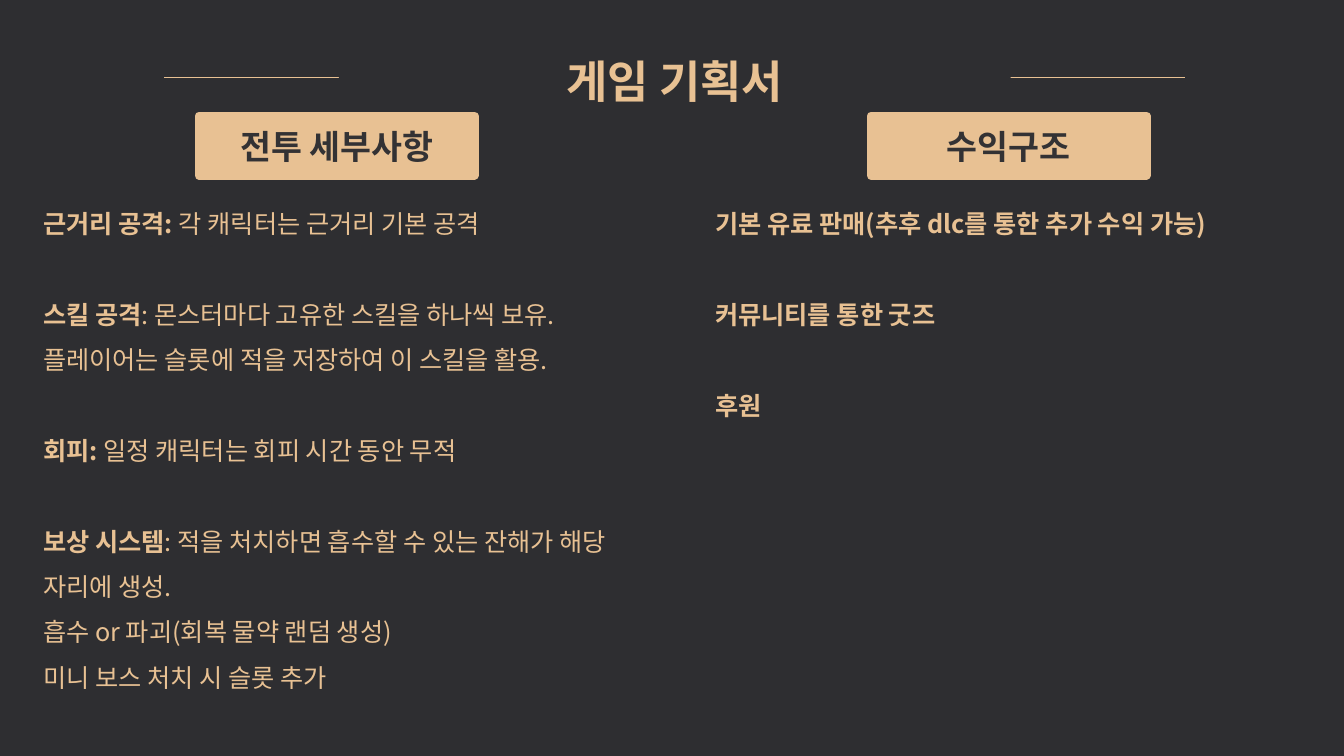
from lxml import etree
from pptx import Presentation
from pptx.dml.color import RGBColor
from pptx.enum.shapes import MSO_CONNECTOR, MSO_SHAPE
from pptx.enum.text import MSO_ANCHOR, MSO_AUTO_SIZE, PP_ALIGN
from pptx.oxml.ns import qn
from pptx.util import Inches, Pt

STRAIGHT = MSO_CONNECTOR.STRAIGHT
RECTANGLE = MSO_SHAPE.RECTANGLE
TOP, MIDDLE = MSO_ANCHOR.TOP, MSO_ANCHOR.MIDDLE
CENTER = PP_ALIGN.CENTER
GROW = MSO_AUTO_SIZE.SHAPE_TO_FIT_TEXT

DARK = RGBColor(0x2E, 0x2E, 0x31)
LABEL_INK = RGBColor(0x33, 0x32, 0x34)
SAND = RGBColor(0xE8, 0xC1, 0x93)
FONT = "Noto Sans CJK KR"

# Two equal columns
SLIDE_WIDTH, SLIDE_HEIGHT = 13.33, 7.5
COLUMN_STEP = SLIDE_WIDTH / 2
COLUMN_LEFT, COLUMN_WIDTH = 0.33, 6.02
LABEL_TOP, LABEL_WIDTH, LABEL_HEIGHT = 1.15, 2.73, 0.59
BODY_TOP = 1.87
ENTRY_GAP = 32.4  # one body line, in points

# Each entry is a list of paragraphs, each a list of (text, bold) runs
COLUMNS = [
    ("전투 세부사항", 5.04, [
        [[("근거리 공격: ", True), ("각 캐릭터는 근거리 기본 공격", False)]],
        [[("스킬 공격", True),
          (": 몬스터마다 고유한 스킬을 하나씩 보유. "
           "플레이어는 슬롯에 적을 저장하여 이 스킬을 활용.", False)]],
        [[("회피: ", True), ("일정 캐릭터는 회피 시간 동안 무적", False)]],
        [[("보상 시스템", True),
          (": 적을 처치하면 흡수할 수 있는 잔해가 해당 자리에 생성.", False),
          ("\n흡수 or 파괴(회복 물약 랜덤 생성)", False)],
         [("미니 보스 처치 시 슬롯 추가", False)]],
    ]),
    ("수익구조", 2.31, [
        [[("기본 유료 판매(추후 dlc를 통한 추가 수익 가능)", True)]],
        [[("커뮤니티를 통한 굿즈", True)]],
        [[("후원", True)]],
    ]),
]


def add_run(paragraph, text, size, color, bold):
    if text.startswith("\n"):
        paragraph.add_line_break()
    run = paragraph.add_run()
    run.text = text.lstrip("\n")
    font = run.font
    font.name, font.size, font.bold = FONT, Pt(size), bold
    font.color.rgb = color
    east_asian = etree.SubElement(font._element, qn("a:ea"))
    east_asian.set("typeface", FONT)


def add_rule(slide, left, right, top):
    rule = slide.shapes.add_connector(
        STRAIGHT, Inches(left), Inches(top), Inches(right), Inches(top))
    rule.line.color.rgb = SAND
    rule.line.width = Pt(0.5)
    etree.SubElement(rule._element.spPr, qn("a:effectLst"))


def add_block(slide, box, fill, text, size, color, anchor):
    shape = slide.shapes.add_shape(RECTANGLE, *map(Inches, box))
    shape.shadow.inherit = False
    shape.fill.solid()
    shape.fill.fore_color.rgb = fill
    shape.line.fill.background()
    shape.text_frame.vertical_anchor = anchor
    paragraph = shape.text_frame.paragraphs[0]
    paragraph.alignment = CENTER
    add_run(paragraph, text, size, color, True)
    return shape


def add_title(slide, text):
    title = add_block(slide, (3.36, 0.22, COLUMN_STEP, 0.8), DARK, text, 32, SAND, TOP)
    title.text_frame.auto_size = GROW
    title.text_frame.paragraphs[0].line_spacing = 1.5


def add_label(slide, left, text):
    box = (left, LABEL_TOP, LABEL_WIDTH, LABEL_HEIGHT)
    label = add_block(slide, box, SAND, text, 24, LABEL_INK, MIDDLE)
    label.line.color.rgb = SAND
    label.line.width = Pt(6.25)


def add_body(slide, left, height, entries):
    box = (left, BODY_TOP, COLUMN_WIDTH, height)
    frame = slide.shapes.add_textbox(*map(Inches, box)).text_frame
    frame.word_wrap = True
    frame.auto_size = GROW
    for entry_index, entry in enumerate(entries):
        for line_index, runs in enumerate(entry):
            is_first = entry_index == line_index == 0
            paragraph = frame.paragraphs[0] if is_first else frame.add_paragraph()
            paragraph.line_spacing = 1.5
            if entry_index and not line_index:
                paragraph.space_before = Pt(ENTRY_GAP)
            for text, bold in runs:
                add_run(paragraph, text, 18, SAND, bold)


def main():
    presentation = Presentation()
    presentation.slide_width = Inches(SLIDE_WIDTH)
    presentation.slide_height = Inches(SLIDE_HEIGHT)
    slide = presentation.slides.add_slide(presentation.slide_layouts[6])
    slide.background.fill.solid()
    slide.background.fill.fore_color.rgb = DARK

    # Title interrupts the rule behind it
    add_rule(slide, 1.63, 11.75, 0.77)
    add_title(slide, "게임 기획서")

    # Labels are centred over their columns
    for index, (label, height, entries) in enumerate(COLUMNS):
        left = COLUMN_LEFT + index * COLUMN_STEP
        add_body(slide, left, height, entries)
        add_label(slide, left + (COLUMN_WIDTH - LABEL_WIDTH) / 2, label)

    presentation.save("out.pptx")


if __name__ == "__main__":
    main()
